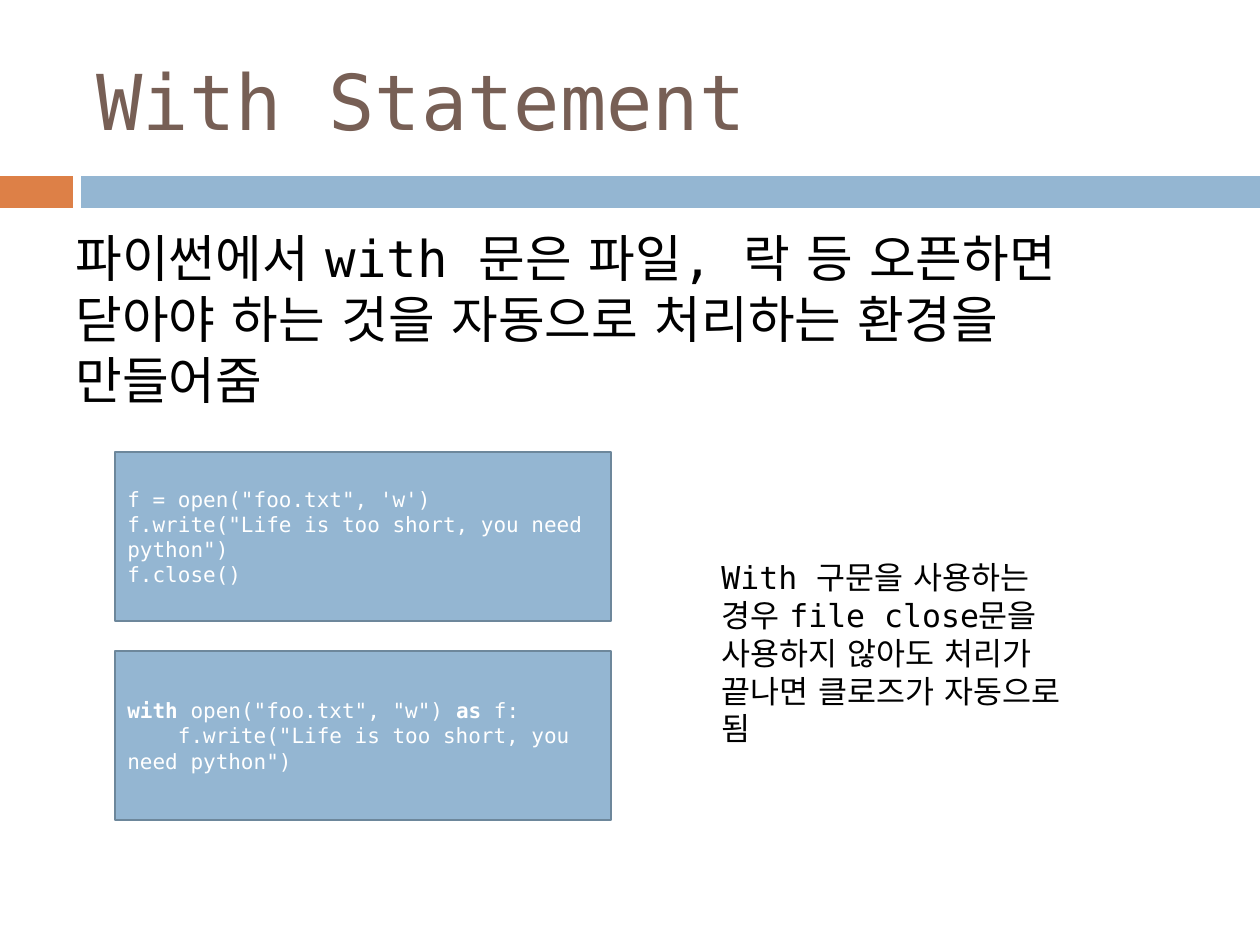
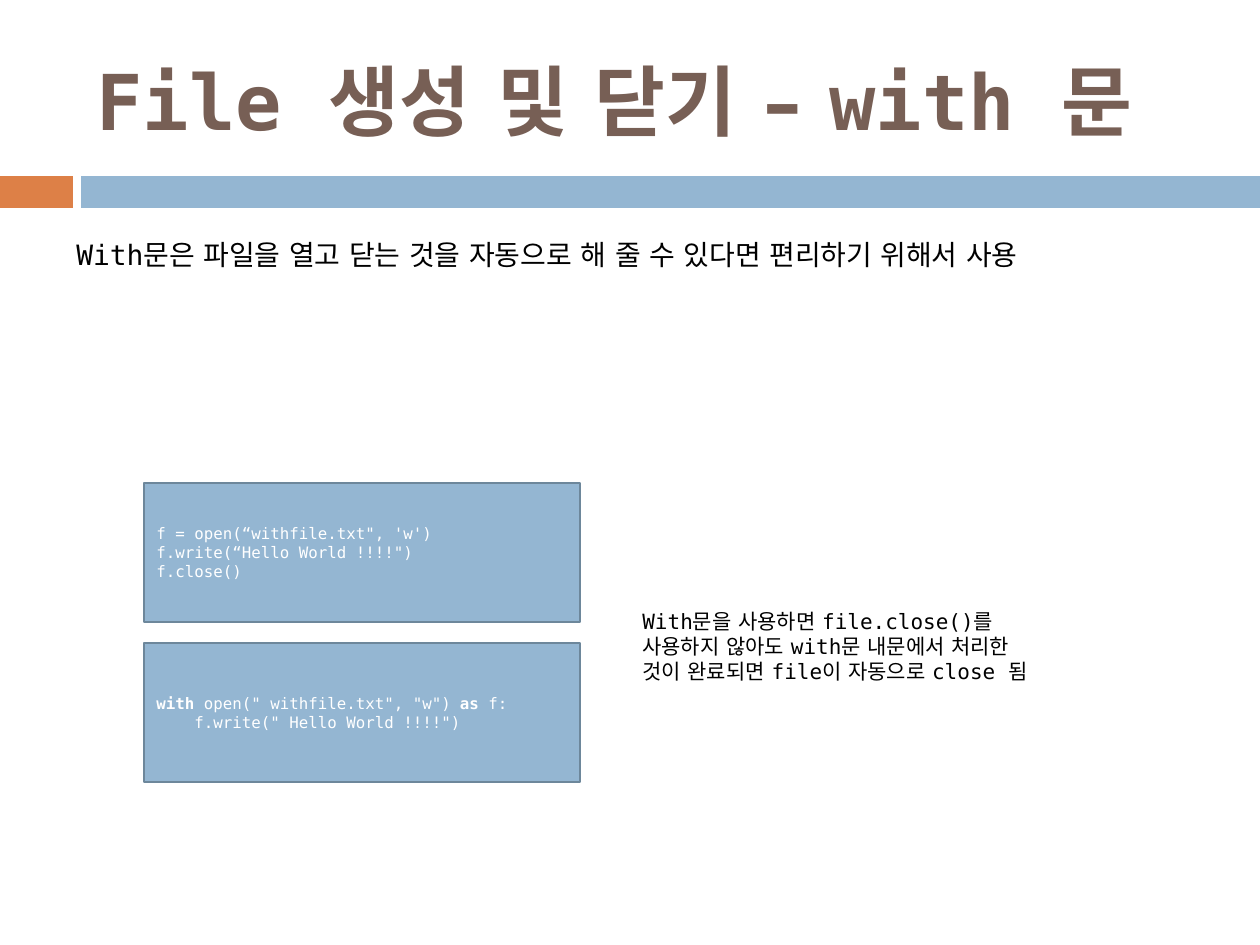
from pptx import Presentation
from pptx import util as u
from pptx.dml.color import RGBColor
from pptx.enum import lang, shapes, text
from pptx.oxml.ns import qn
from lxml import etree

PX = 914400 / 126
FONT, HANGUL_FONT = "DejaVu Sans Mono", "DejaVu Sans"
BLACK, WHITE, BROWN = "000000", "FFFFFF", "775F55"
ORANGE, BLUE, EDGE = "DD8047", "94B6D2", "6D879B"


def px(length):
    """Turn px into EMU."""
    return u.Emu(round(length * PX))


def color(value):
    """Turn a hex string into a colour."""
    return RGBColor.from_string(value)


def add_span(para, words, size, ink, bold=False):
    """Add one formatted run to a paragraph."""
    span = para.add_run()
    span.text = words
    font = span.font
    font.name, font.size, font.bold = FONT, u.Pt(size), bold
    font.color.rgb = color(ink)
    font.language_id = lang.MSO_LANGUAGE_ID.KOREAN
    east_asian = etree.SubElement(span._r.get_or_add_rPr(), qn("a:ea"))
    east_asian.set("typeface", HANGUL_FONT)


def add_rectangle(page, place, fill, edge=None):
    """Add a flat rectangle with an optional outline."""
    box = page.shapes.add_shape(shapes.MSO_SHAPE.RECTANGLE, *map(px, place))
    box.shadow.inherit = False
    box.fill.solid()
    box.fill.fore_color.rgb = color(fill)
    if edge:
        box.line.color.rgb = color(edge)
        box.line.width = u.Pt(1.5)
    else:
        box.line.fill.background()
    return box


def add_page(deck, heading, bold=False):
    """Add a page with its title and the two bands below it."""
    page = deck.slides.add_slide(deck.slide_layouts[5])
    add_rectangle(page, (0, 176, 73, 32), ORANGE)
    add_rectangle(page, (81, 176, 1179, 32), BLUE)
    title = page.shapes.title
    title.left, title.top, title.width, title.height = map(px, (84, 32, 1124, 136))
    frame = title.text_frame
    frame.auto_size = text.MSO_AUTO_SIZE.NONE
    frame.vertical_anchor = text.MSO_ANCHOR.MIDDLE
    para = frame.paragraphs[0]
    para.alignment = text.PP_ALIGN.LEFT
    add_span(para, heading, 44, BROWN, bold)
    return page


def add_note(page, place, words, size, spacing=1.0):
    """Add a wrapped text box with one paragraph."""
    frame = page.shapes.add_textbox(*map(px, place)).text_frame
    frame.word_wrap = True
    para = frame.paragraphs[0]
    para.line_spacing = spacing
    add_span(para, words, size, BLACK)


def add_code(page, place, lines, size):
    """Add a code panel; each line is a list of alternating plain and bold parts."""
    frame = add_rectangle(page, place, BLUE, EDGE).text_frame
    frame.word_wrap = True
    frame.vertical_anchor = text.MSO_ANCHOR.MIDDLE
    for number, parts in enumerate(lines):
        para = frame.add_paragraph() if number else frame.paragraphs[0]
        para.alignment = text.PP_ALIGN.LEFT
        for position, words in enumerate(parts):
            if words:
                add_span(para, words, size, WHITE, position % 2 == 1)


def add_code_stack(page, place, gap, panels, size):
    """Stack equal code panels with an equal gap."""
    left, top, width, height = place
    for number, lines in enumerate(panels):
        panel_top = top + number * (height + gap)
        add_code(page, (left, panel_top, width, height), lines, size)


def add_statement_page(deck):
    """Build the page that introduces the with statement."""
    page = add_page(deck, "With Statement")
    add_note(page, (63, 221, 1134, 213),
             "파이썬에서 with 문은 파일, 락 등 오픈하면 닫아야 하는 것을 "
             "자동으로 처리하는 환경을 만들어줌", 29)
    write = 'f.write("Life is too short, you need python")'
    add_code_stack(page, (115, 452, 496, 169), 30, [
        [["f = open(\"foo.txt\", 'w')"], [write], ["f.close()"]],
        [["", "with", ' open("foo.txt", "w") ', "as", " f:"], ["    " + write]],
    ], 12)
    add_note(page, (709, 552, 377, 165),
             "With 구문을 사용하는 경우 file close문을 사용하지 않아도 "
             "처리가 끝나면 클로즈가 자동으로 됨", 18)


def add_file_page(deck):
    """Build the page on opening and closing a file."""
    page = add_page(deck, "File 생성 및 닫기 – with 문", bold=True)
    add_note(page, (64, 225, 1134, 139),
             "With문은 파일을 열고 닫는 것을 자동으로 해 줄 수 있다면 "
             "편리하기 위해서 사용", 16, 1.2)
    add_code_stack(page, (144, 483, 436, 139), 21, [
        [["f = open(“withfile.txt\", 'w')"], ['f.write(“Hello World !!!!")'],
         ["f.close()"]],
        [["", "with", ' open(" withfile.txt", "w") ', "as", " f:"],
         ['    f.write(" Hello World !!!!")']],
    ], 9)
    add_note(page, (630, 602, 436, 89),
             "With문을 사용하면 file.close()를 사용하지 않아도 with문 내문에서 "
             "처리한 것이 완료되면 file이 자동으로 close 됨", 12)


def main():
    """Build and save the deck."""
    deck = Presentation()
    deck.slide_width, deck.slide_height = px(1260), px(945)
    add_statement_page(deck)
    add_file_page(deck)
    deck.save("out.pptx")


if __name__ == "__main__":
    main()
